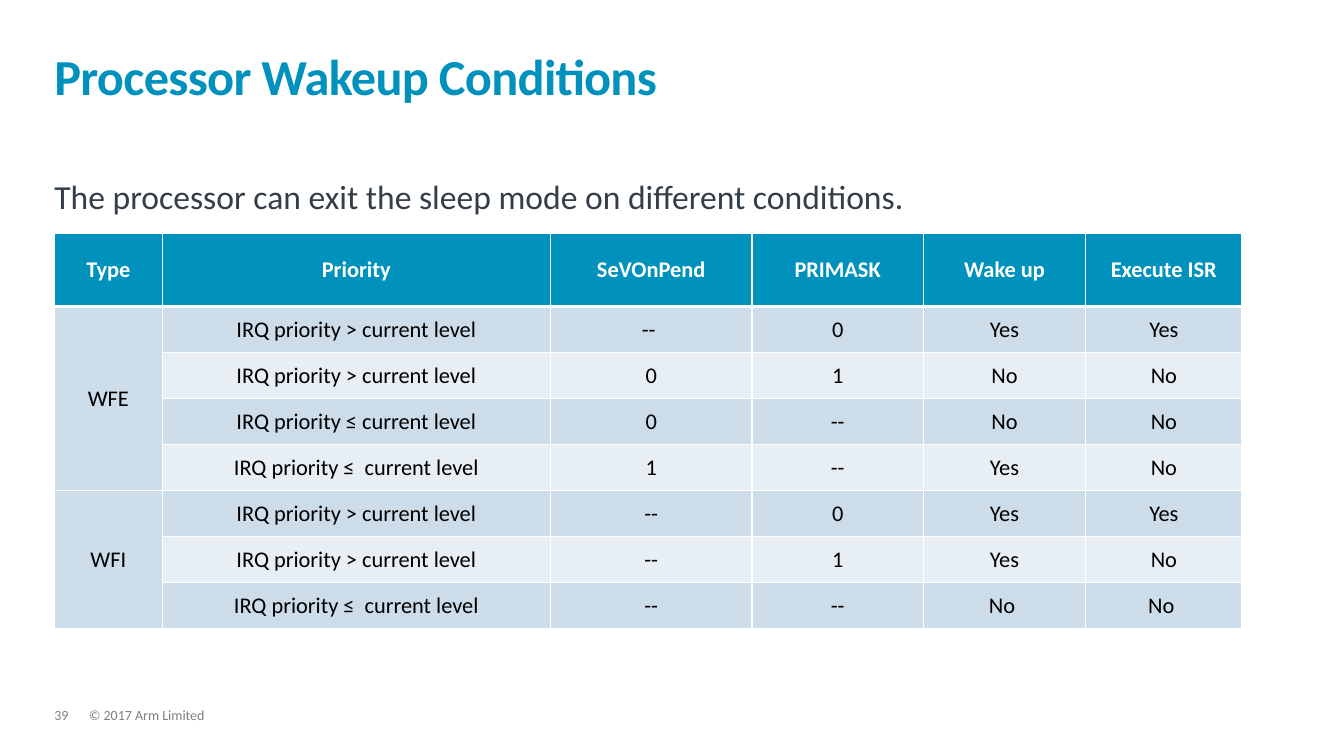
"""Build the slide on processor wakeup conditions."""
from dataclasses import dataclass
from typing import Any

from lxml.etree import SubElement
from pptx import Presentation
from pptx.dml.color import RGBColor
from pptx.enum.text import MSO_ANCHOR, MSO_AUTO_SIZE, PP_ALIGN
from pptx.oxml.ns import qn
from pptx.util import Cm, Pt

TEAL = RGBColor(0x00, 0x91, 0xBD)
SLATE = RGBColor(0x33, 0x3E, 0x48)
GREY = RGBColor(0x7F, 0x7F, 0x7F)
BLACK = RGBColor(0x00, 0x00, 0x00)
WHITE = RGBColor(0xFF, 0xFF, 0xFF)
BAND_DARK = RGBColor(0xCC, 0xDC, 0xE8)
BAND_LIGHT = RGBColor(0xE7, 0xEE, 0xF4)

LEFT = 1.37
CONTENT_WIDTH = 31.06
HEADER_HEIGHT, ROW_HEIGHT = 1.85, 1.16
NO_MARGINS = dict.fromkeys(
    ("margin_left", "margin_top", "margin_right", "margin_bottom"), 0)
CELL_FORMAT = {
    "margin_left": Cm(0.33), "margin_right": Cm(0.33),
    "margin_top": Cm(0.13), "margin_bottom": Cm(0.13),
    "vertical_anchor": MSO_ANCHOR.MIDDLE,
}


@dataclass(frozen=True)
class TextStyle:
    size: float
    color: RGBColor
    bold: bool = False
    line_spacing: float = 1.0
    space_after: float = 0
    align: PP_ALIGN = PP_ALIGN.LEFT
    tracking: int = 0


@dataclass(frozen=True)
class Area:
    left: float
    top: float
    width: float
    height: float


@dataclass(frozen=True)
class Column:
    heading: str
    width: float


@dataclass(frozen=True)
class SleepMode:
    name: str
    conditions: tuple[tuple[str, ...], ...]


TITLE_STYLE = TextStyle(36, TEAL, True, 0.85, tracking=-50)
INTRO_STYLE = TextStyle(24, SLATE, line_spacing=0.9, space_after=16)
FOOTER_STYLE = TextStyle(10, GREY, line_spacing=0.9, space_after=6)
HEADING_STYLE = TextStyle(16, WHITE, True, align=PP_ALIGN.CENTER)
VALUE_STYLE = TextStyle(16, BLACK, align=PP_ALIGN.CENTER)

COLUMNS = (
    Column("Type", 2.72), Column("Priority", 9.78), Column("SeVOnPend", 5.08),
    Column("PRIMASK", 4.32), Column("Wake up", 4.09), Column("Execute ISR", 3.94),
)
SLEEP_MODES = (
    SleepMode("WFE", (
        ("IRQ priority > current level", "-- ", "0", "Yes", "Yes"),
        ("IRQ priority > current level", "0", "1", "No", "No"),
        ("IRQ priority ≤ current level", "0", "--", "No", "No"),
        ("IRQ priority ≤  current level", "1", "--", "Yes", "No"),
    )),
    SleepMode("WFI", (
        ("IRQ priority > current level", "--", "0", "Yes", "Yes"),
        ("IRQ priority > current level", "--", "1", "Yes", "No"),
        ("IRQ priority ≤  current level", "--", "--", "No ", "No "),
    )),
)


def apply(target: Any, values: dict[str, Any]) -> None:
    for attribute, value in values.items():
        setattr(target, attribute, value)


def write(frame: Any, text: str, style: TextStyle) -> None:
    paragraph = frame.paragraphs[0]
    apply(paragraph, {
        "alignment": style.align, "line_spacing": style.line_spacing,
        "space_before": Pt(0), "space_after": Pt(style.space_after),
    })
    run = paragraph.add_run()
    run.text = text
    apply(run.font, {"name": "Calibri", "size": Pt(style.size), "bold": style.bold})
    run.font.color.rgb = style.color
    if style.tracking:
        run._r.get_or_add_rPr().set("spc", str(style.tracking))


def fill_box(box: Any, area: Area, text: str, style: TextStyle,
             anchor: MSO_ANCHOR = MSO_ANCHOR.TOP) -> None:
    apply(box, {"left": Cm(area.left), "top": Cm(area.top),
                "width": Cm(area.width), "height": Cm(area.height)})
    apply(box.text_frame, NO_MARGINS | {
        "word_wrap": True, "auto_size": MSO_AUTO_SIZE.NONE, "vertical_anchor": anchor})
    write(box.text_frame, text, style)


def remove_bullet(paragraph: Any) -> None:
    properties = paragraph._p.get_or_add_pPr()
    properties.set("marL", "0")
    properties.set("indent", "0")
    SubElement(properties, qn("a:buNone"))


def add_border(cell: Any, side: str, points: float) -> None:
    line = SubElement(cell._tc.get_or_add_tcPr(), qn(f"a:{side}"), w=str(Pt(points)))
    SubElement(SubElement(line, qn("a:solidFill")), qn("a:srgbClr"), val=str(WHITE))


def format_cell(cell: Any, color: RGBColor, top: float, bottom: float) -> None:
    apply(cell, CELL_FORMAT)
    for side, points in {"lnL": 1, "lnR": 1, "lnT": top, "lnB": bottom}.items():
        add_border(cell, side, points)
    cell.fill.solid()
    cell.fill.fore_color.rgb = color


def add_conditions_table(slide: Any) -> None:
    row_count = 1 + sum(len(mode.conditions) for mode in SLEEP_MODES)
    table = slide.shapes.add_table(
        row_count, len(COLUMNS), Cm(LEFT), Cm(5.87),
        Cm(sum(column.width for column in COLUMNS)),
        Cm(HEADER_HEIGHT + ROW_HEIGHT * (row_count - 1))).table
    for index, row in enumerate(table.rows):
        row.height = Cm(ROW_HEIGHT if index else HEADER_HEIGHT)
        band = BAND_DARK if index % 2 else BAND_LIGHT
        for position, cell in enumerate(row.cells):
            color = TEAL if index == 0 else BAND_DARK if position == 0 else band
            format_cell(cell, color, 3 if index == 1 else 1, 3 if index == 0 else 1)
    for position, column in enumerate(COLUMNS):
        table.columns[position].width = Cm(column.width)
        write(table.cell(0, position).text_frame, column.heading, HEADING_STYLE)
    first = 1
    for mode in SLEEP_MODES:
        last = first + len(mode.conditions) - 1
        table.cell(first, 0).merge(table.cell(last, 0))
        write(table.cell(first, 0).text_frame, mode.name, VALUE_STYLE)
        for index, condition in enumerate(mode.conditions, first):
            for position, value in enumerate(condition, 1):
                write(table.cell(index, position).text_frame, value, VALUE_STYLE)
        first = last + 1


def main() -> None:
    presentation = Presentation()
    apply(presentation, {"slide_width": Cm(33.87), "slide_height": Cm(19.05)})
    slide = presentation.slides.add_slide(presentation.slide_layouts[1])
    fill_box(slide.shapes.title, Area(LEFT, 0.81, CONTENT_WIDTH, 1.85),
             "Processor Wakeup Conditions", TITLE_STYLE, MSO_ANCHOR.BOTTOM)
    intro = slide.placeholders[1]
    remove_bullet(intro.text_frame.paragraphs[0])
    fill_box(intro, Area(LEFT, 4.55, CONTENT_WIDTH, 1.32),
             "The processor can exit the sleep mode on different conditions.", INTRO_STYLE)
    add_conditions_table(slide)
    for left, width, text in ((LEFT, 0.86, "39"), (2.24, 23.19, "© 2017 Arm Limited")):
        footer = slide.shapes.add_textbox(0, 0, 0, 0)
        fill_box(footer, Area(left, 17.86, width, 0.38), text, FOOTER_STYLE)
    presentation.save("out.pptx")


if __name__ == "__main__":
    main()
